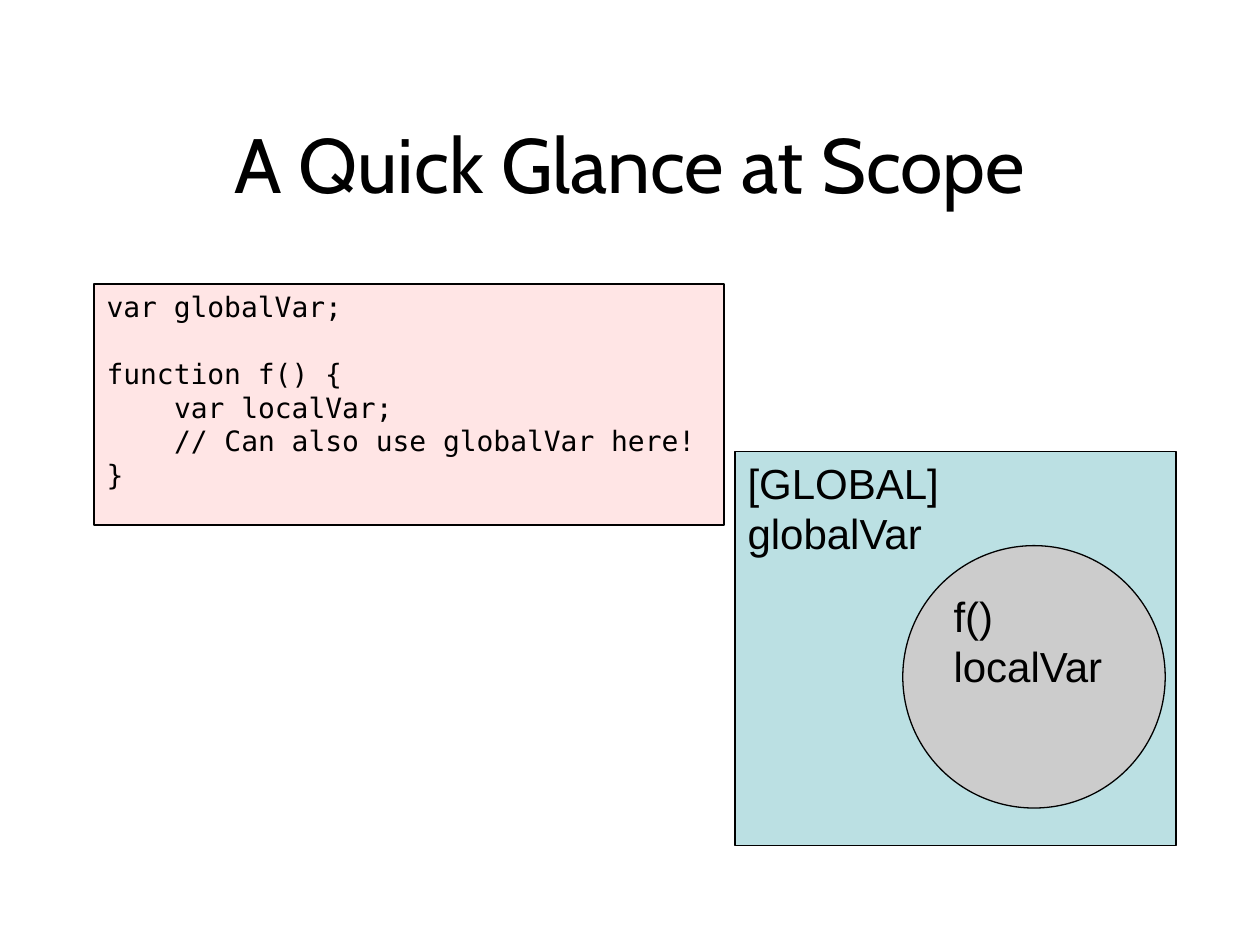
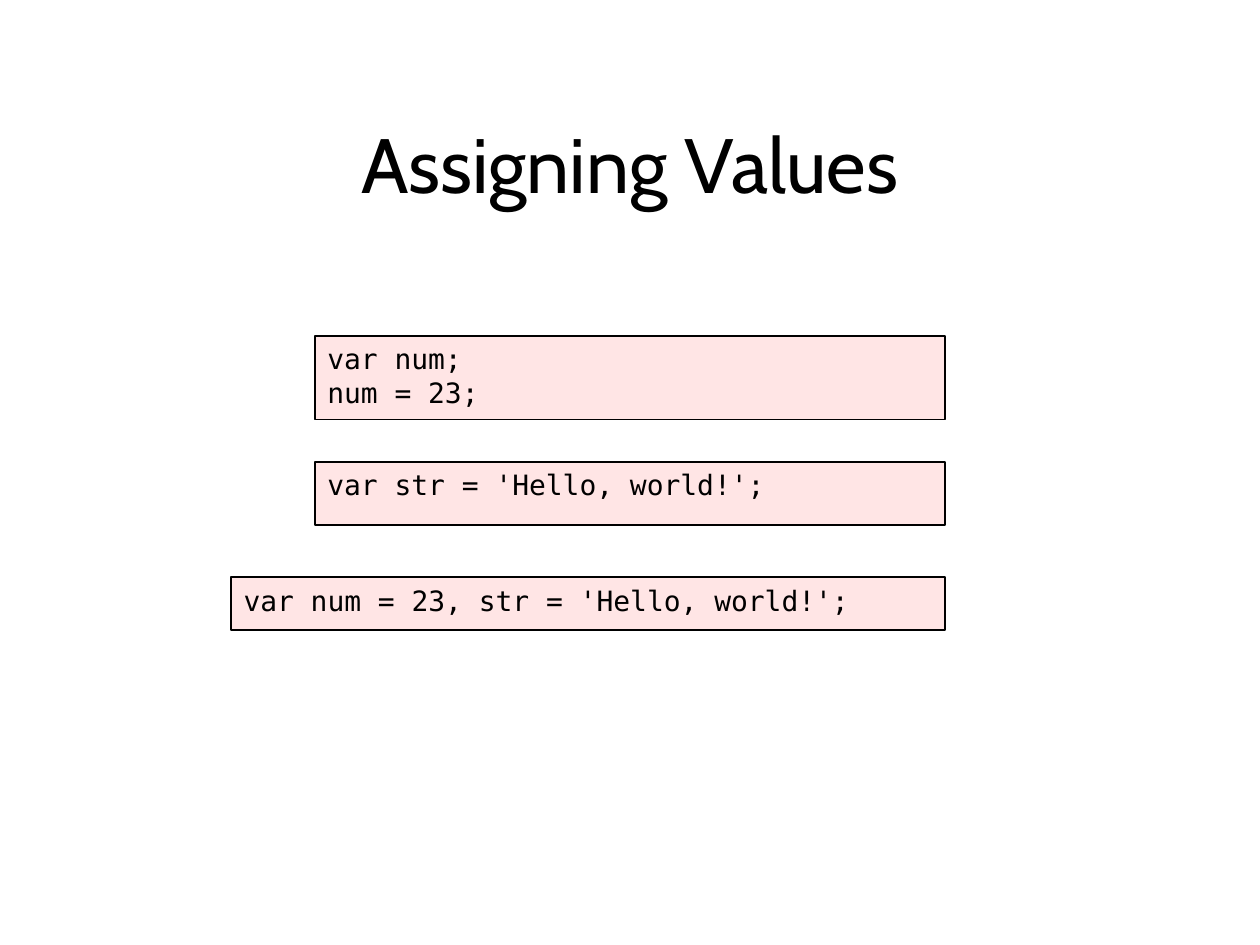
from dataclasses import dataclass

from lxml.etree import SubElement
from pptx import Presentation
from pptx.dml.color import RGBColor as RGB
from pptx.enum.shapes import MSO_SHAPE as Shape
from pptx.enum.text import MSO_ANCHOR as Anchor, PP_ALIGN as Align
from pptx.oxml.ns import qn
from pptx.util import Cm, Pt


@dataclass(frozen=True)
class Theme:
    """Colours, fonts and type sizes of the deck."""
    ink: RGB = RGB(0, 0, 0)
    code_fill: RGB = RGB(255, 0, 0)
    code_alpha: int = 10
    global_fill: RGB = RGB(0xBB, 0xE0, 0xE3)
    local_fill: RGB = RGB(0xCC, 0xCC, 0xCC)
    title_font: tuple = ("Cabin", 44)
    scope_font: tuple = ("Arial", 24)
    code_font: tuple = ("DejaVu Sans Mono", 16)
    code_line: float = 19
    code_indent: float = 1.36


THEME = Theme()


def set_attrs(obj, values):
    """Set every attribute named in a dict of format values."""
    for name, value in values.items():
        setattr(obj, name, value)


def write_lines(tf, lines, font, align=Align.LEFT, anchor=Anchor.TOP):
    """Write one paragraph per line and return the paragraphs."""
    name, size = font
    set_attrs(tf, {"word_wrap": True, "vertical_anchor": anchor})
    for i, line in enumerate(lines):
        p = tf.add_paragraph() if i else tf.paragraphs[0]
        p.alignment = align
        r = p.add_run()
        r.text = line
        set_attrs(r.font, {"name": name, "size": Pt(size)})
        r.font.color.rgb = THEME.ink
    return tf.paragraphs


def add_title(slide, text):
    """Add the centred slide title."""
    box = slide.shapes.add_textbox(Cm(1.9), Cm(1.7), Cm(21.6), Cm(3.18))
    write_lines(box.text_frame, [text], THEME.title_font, Align.CENTER, Anchor.MIDDLE)


def add_block(slide, kind, at, fill, line_width):
    """Add a filled, outlined shape without shadow."""
    sp = slide.shapes.add_shape(kind, *map(Cm, at))
    sp.shadow.inherit = False
    sp.fill.solid()
    sp.fill.fore_color.rgb = fill
    sp.line.color.rgb = THEME.ink
    sp.line.width = Pt(line_width)
    return sp


def add_scope(slide, kind, at, fill, lines):
    """Add a shape that stands for a variable scope."""
    sp = add_block(slide, kind, at, fill, 0.75)
    write_lines(sp.text_frame, lines, THEME.scope_font)


def add_code(slide, at, code):
    """Add a code box, turning blank lines and tabs into spacing and indents."""
    sp = add_block(slide, Shape.RECTANGLE, at, THEME.code_fill, 1)
    color = sp.fill._xPr.find(qn("a:solidFill"))[0]
    SubElement(color, qn("a:alpha"), val=str(THEME.code_alpha * 1000))
    lines = code.split("\n")
    kept = [(i, line) for i, line in enumerate(lines) if line]
    texts = [line.lstrip("\t") for _, line in kept]
    paragraphs = write_lines(sp.text_frame, texts, THEME.code_font)
    for p, (i, line) in zip(paragraphs, kept):
        if i and not lines[i - 1]:
            p.space_before = Pt(THEME.code_line)
        if line.startswith("\t"):
            p._p.get_or_add_pPr().set("marL", str(Cm(THEME.code_indent)))


def add_slide(prs, title):
    """Add a blank slide with its title."""
    slide = prs.slides.add_slide(prs.slide_layouts[6])
    add_title(slide, title)
    return slide


def build_scope(prs):
    """Build the slide on global and local scope."""
    s = add_slide(prs, "A Quick Glance at Scope")
    add_scope(s, Shape.RECTANGLE, (14.82, 9.1, 8.89, 7.94), THEME.global_fill,
              ["[GLOBAL]", "globalVar"])
    add_code(s, (1.9, 5.72, 12.7, 4.87),
             "var globalVar;\n\nfunction f() {\n\tvar localVar;\n"
             "\t// Can also use globalVar here!\n}")
    add_scope(s, Shape.OVAL, (18.2, 11, 5.29, 5.29), THEME.local_fill,
              ["f()", "localVar"])


def build_values(prs):
    """Build the slide on assigning values."""
    s = add_slide(prs, "Assigning Values")
    right = 19.05
    for left, top, height, code in (
        (6.35, 6.77, 1.69, "var num;\nnum = 23;"),
        (6.35, 9.31, 1.27, "var str = 'Hello, world!';"),
        (4.66, 11.64, 1.06, "var num = 23, str = 'Hello, world!';"),
    ):
        add_code(s, (left, top, right - left, height), code)


def main():
    """Build and save the deck."""
    prs = Presentation()
    set_attrs(prs, {"slide_width": Cm(25.4), "slide_height": Cm(19.05)})
    build_scope(prs)
    build_values(prs)
    prs.save("out.pptx")


if __name__ == "__main__":
    main()
